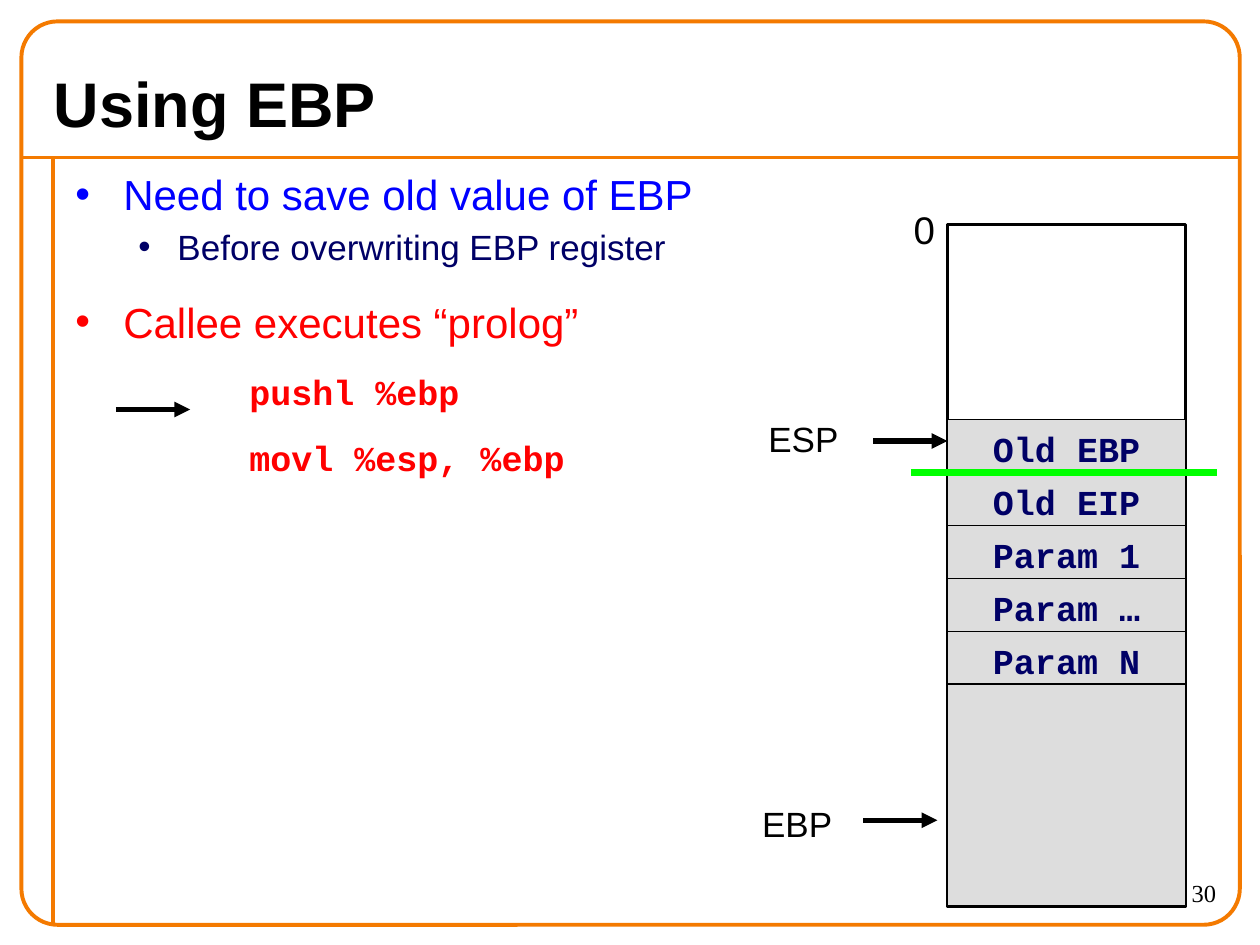
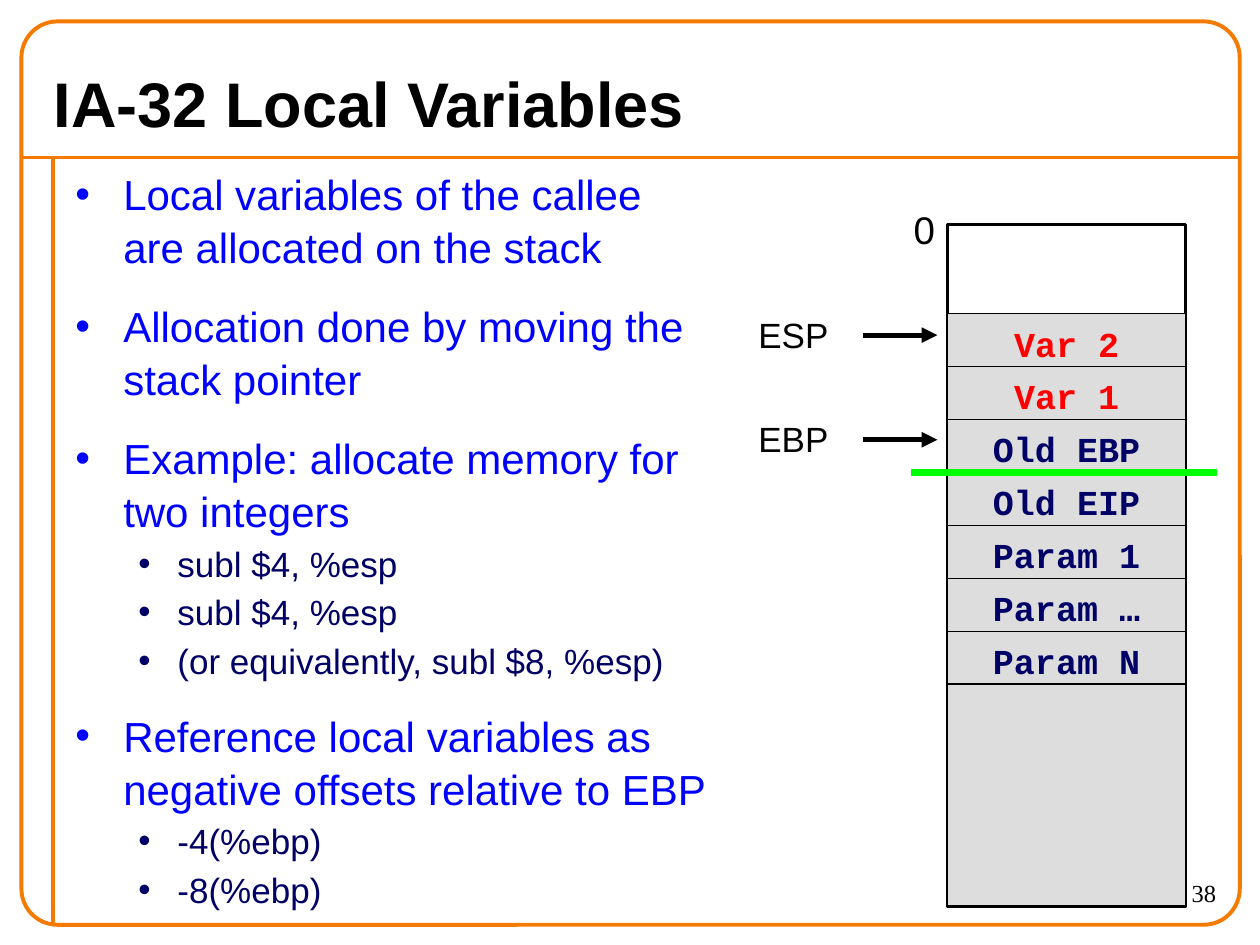
from lxml.etree import SubElement
from pptx import Presentation
from pptx.dml.color import RGBColor
from pptx.enum.shapes import MSO_CONNECTOR, MSO_SHAPE
from pptx.enum.text import MSO_ANCHOR, PP_ALIGN
from pptx.oxml.ns import qn
from pptx.util import Inches, Pt

COLORS = {
    "orange": "F47A00",
    "black": "000000",
    "blue": "0000FF",
    "navy": "000066",
    "red": "FF0000",
    "gray": "DDDDDD",
    "green": "00FF00",
}

# Body paragraph styles: size, font, bold, space before, left margin, hanging indent
BODY_STYLES = {
    "point": (24, "Arial", False, 15, 0.38, 0.38),
    "detail": (20, "Arial", False, 2.5, 0.81, 0.31),
    "code": (20, "Courier New", True, 12.5, 1.38, 0),
}

STACK_LEFT, STACK_WIDTH = 7.52, 1.89
ROW_HEIGHT, LAST_ROW_TOP = 0.42, 5.01
SAVED_ROWS = [(text, "navy") for text in
              ("Param N", "Param …", "Param 1", "Old EIP", "Old EBP")]

SLIDES = [
    {
        "title": "Using EBP",
        "number": "30",
        "body_size": (6.42, 5.89),
        "body": [
            ("point", "blue", "Need to save old value of EBP"),
            ("detail", "navy", "Before overwriting EBP register"),
            ("point", "red", "Callee executes “prolog”"),
            ("code", "red", "pushl %ebp"),
            ("code", "red", "movl %esp, %ebp"),
        ],
        "rows": SAVED_ROWS,
        "labels": [("ESP", 6, 3.25), ("EBP", 5.95, 6.3)],
        "arrows": [(6.93, 3.5), (0.92, 3.25), (6.85, 6.51)],
    },
    {
        "title": "IA-32 Local Variables",
        "number": "38",
        "body_size": (5.21, 5.45),
        "body": [
            ("point", "blue", "Local variables of the callee are allocated on the stack"),
            ("point", "blue", "Allocation done by moving the stack pointer"),
            ("point", "blue", "Example: allocate memory for two integers"),
            ("detail", "navy", "subl $4, %esp"),
            ("detail", "navy", "subl $4, %esp"),
            ("detail", "navy", "(or equivalently, subl $8, %esp)"),
            ("point", "blue", "Reference local variables as negative offsets relative to EBP"),
            ("detail", "navy", "-4(%ebp)"),
            ("detail", "navy", "-8(%ebp)"),
        ],
        "rows": SAVED_ROWS + [("Var 1", "red"), ("Var 2", "red")],
        "labels": [("ESP", 5.92, 2.42), ("EBP", 5.92, 3.25)],
        "arrows": [(6.85, 2.66), (6.85, 3.49)],
    },
]


def write(para, text, size, color="black", font="Arial", bold=False,
          align=PP_ALIGN.LEFT, before=0, spacing=1.05):
    """Format one paragraph and add its text as a single run."""
    para.alignment = align
    para.space_before = Pt(before)
    para.line_spacing = spacing
    span = para.add_run()
    span.text = text
    span.font.size = Pt(size)
    span.font.name = font
    span.font.bold = bold
    span.font.color.rgb = RGBColor.from_string(COLORS[color])


def draw_line(page, start, end, color, width, arrow=False):
    line = page.shapes.add_connector(
        MSO_CONNECTOR.STRAIGHT, *map(Inches, start + end))
    line.line.color.rgb = RGBColor.from_string(COLORS[color])
    line.line.width = Pt(width)
    if arrow:
        SubElement(line.line._get_or_add_ln(), qn("a:tailEnd"), type="triangle")
    SubElement(line._element.spPr, qn("a:effectLst"))


deck = Presentation()
deck.slide_width, deck.slide_height = Inches(10), Inches(7.5)

for content in SLIDES:
    page = deck.slides.add_slide(deck.slide_layouts[6])

    # Orange border with title rule and left margin rule
    draw_line(page, (0.17, 1.25), (9.83, 1.25), "orange", 2.25)
    draw_line(page, (0.42, 1.25), (0.42, 7.33), "orange", 2.25)
    border = page.shapes.add_shape(
        MSO_SHAPE.ROUNDED_RECTANGLE, *map(Inches, (0.17, 0.17, 9.67, 7.17)))
    border.adjustments[0] = 0.04
    border.shadow.inherit = False
    border.fill.background()
    border.line.color.rgb = RGBColor.from_string(COLORS["orange"])
    border.line.width = Pt(2.25)

    # Title, page number, bulleted body
    title = page.shapes.add_textbox(*map(Inches, (0.33, 0.42, 9.33, 0.75))).text_frame
    title.word_wrap = True
    title.vertical_anchor = MSO_ANCHOR.MIDDLE
    write(title.paragraphs[0], content["title"], 36, bold=True)

    number = page.shapes.add_textbox(*map(Inches, (8.75, 6.92, 1, 0.42))).text_frame
    number.word_wrap = True
    write(number.paragraphs[0], content["number"], 14, font="Times New Roman",
          align=PP_ALIGN.RIGHT, spacing=1.0)

    body = page.shapes.add_textbox(
        Inches(0.5), Inches(1.27), *map(Inches, content["body_size"])).text_frame
    body.word_wrap = True
    for index, (style, color, text) in enumerate(content["body"]):
        size, font, bold, before, margin, hanging = BODY_STYLES[style]
        para = body.add_paragraph() if index else body.paragraphs[0]
        write(para, text, size, color, font, bold, before=before)
        properties = para._p.get_or_add_pPr()
        properties.set("marL", str(Inches(margin)))
        properties.set("indent", str(-Inches(hanging)))
        if style == "code":
            continue
        para.level = 1 if style == "detail" else 0
        bullet_color = SubElement(properties, qn("a:buClr"))
        SubElement(bullet_color, qn("a:srgbClr"), val=COLORS[color])
        SubElement(properties, qn("a:buFont"), typeface="Arial")
        SubElement(properties, qn("a:buChar"), char="•")

    # Stack: outline, used memory at the bottom, then rows growing upward
    blocks = [(1.78, 5.42, None, 1.5, "", "black"),
              (LAST_ROW_TOP + ROW_HEIGHT, 1.76, "gray", 0.75, "", "black")]
    blocks += [(LAST_ROW_TOP - index * ROW_HEIGHT, ROW_HEIGHT, "gray", 0.75, text, color)
               for index, (text, color) in enumerate(content["rows"])]
    for top, height, fill, width, text, color in blocks:
        block = page.shapes.add_shape(
            MSO_SHAPE.RECTANGLE, *map(Inches, (STACK_LEFT, top, STACK_WIDTH, height)))
        block.shadow.inherit = False
        if fill:
            block.fill.solid()
            block.fill.fore_color.rgb = RGBColor.from_string(COLORS[fill])
        else:
            block.fill.background()
        block.line.color.rgb = RGBColor.from_string(COLORS["black"])
        block.line.width = Pt(width)
        if text:
            block.text_frame.vertical_anchor = MSO_ANCHOR.TOP
            write(block.text_frame.paragraphs[0], text, 20, color, "Courier New",
                  True, PP_ALIGN.CENTER, 12.5)

    # Frame boundary, address zero, register pointers
    draw_line(page, (7.23, 3.75), (9.66, 3.75), "green", 4.5)
    zero = page.shapes.add_textbox(*map(Inches, (7.02, 1.57, 0.63, 0.47))).text_frame
    zero.word_wrap = True
    write(zero.paragraphs[0], "0", 22, align=PP_ALIGN.CENTER, before=13.8)
    for register, left, top in content["labels"]:
        label = page.shapes.add_textbox(*map(Inches, (left, top, 1.2, 0.44))).text_frame
        label.word_wrap = True
        write(label.paragraphs[0], register, 20, before=12.5)
    for left, top in content["arrows"]:
        draw_line(page, (left, top), (left + 0.59, top), "black", 3, arrow=True)

deck.save("out.pptx")
